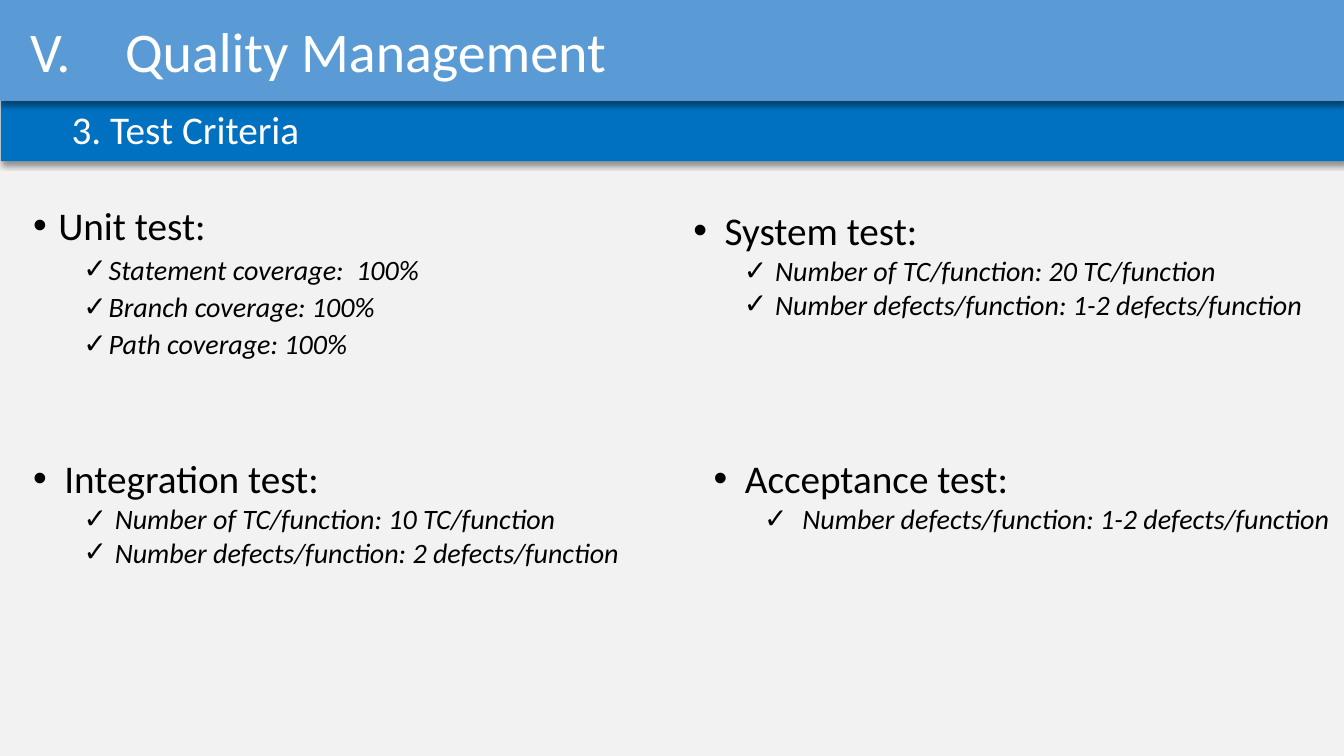
from lxml.etree import SubElement
from pptx import Presentation
from pptx.dml.color import RGBColor
from pptx.enum.shapes import MSO_SHAPE as Shape
from pptx.enum.text import MSO_ANCHOR as Anchor, MSO_AUTO_SIZE as AutoSize
from pptx.oxml.ns import qn
from pptx.util import Inches, Pt

COLORS = {"bg": "F2F2F2", "title": "5B9BD5", "subtitle": "0070C0",
          "white": "FFFFFF", "text": "000000"}
FONT = "Calibri"


def rgb(name):
    return RGBColor.from_string(COLORS[name])


class SlideBuilder:
    def __init__(self, slide):
        self.slide = slide
        fill = slide.background.fill
        fill.solid()
        fill.fore_color.rgb = rgb("bg")

    def run(self, p, text, size, color, italic=False):
        r = p.add_run()
        r.text = text
        f = r.font
        f.name, f.size, f.italic = FONT, Pt(size), italic
        f.color.rgb = rgb(color)

    def bullet(self, p, left, hang, tag, **attrs):
        """Give a paragraph a hanging bullet or number; tag is buChar or buAutoNum."""
        pPr = p._p.get_or_add_pPr()
        pPr.set("marL", str(Inches(left)))
        pPr.set("indent", str(-Inches(hang)))
        SubElement(pPr, qn("a:buFont"), typeface="Arial" if tag == "buChar" else "+mj-lt")
        SubElement(pPr, qn("a:" + tag), **attrs)

    def shadow(self, sp):
        sp.shadow.inherit = False
        effects = sp._element.spPr.find(qn("a:effectLst"))
        outer = SubElement(effects, qn("a:outerShdw"), blurRad=str(Pt(4)), dist=str(Pt(3)),
                           dir="5400000", algn="t", rotWithShape="0")
        black = SubElement(outer, qn("a:srgbClr"), val="000000")
        SubElement(black, qn("a:alpha"), val="40000")

    def band(self, left, top, height, fill, text, size, insets, anchor, number=None):
        """Full-width heading bar, optionally numbered with a Roman numeral."""
        sp = self.slide.shapes.add_shape(Shape.RECTANGLE, Inches(left), Inches(top),
                                         Inches(13.33), Inches(height))
        sp.fill.solid()
        sp.fill.fore_color.rgb = rgb(fill)
        sp.line.fill.background()
        self.shadow(sp)
        tf = sp.text_frame
        tf.word_wrap = True
        tf.vertical_anchor = anchor
        tf.margin_left, tf.margin_top, tf.margin_right, tf.margin_bottom = map(Inches, insets)
        p = tf.paragraphs[0]
        p._p.get_or_add_pPr().set("algn", "l")
        if number:
            self.bullet(p, 0.94, 0.94, "buAutoNum", type="romanUcPeriod", startAt=str(number))
        self.run(p, text, size, "white")

    def criteria(self, box, heading, items, hang=0.31, item_left=0.81, item_hang=0.31,
                 level=1, body=False):
        """Bulleted test heading with ticked criteria; body sets the looser line spacing."""
        tb = self.slide.shapes.add_textbox(*map(Inches, box))
        tf = tb.text_frame
        tf.word_wrap = body
        tf.auto_size = AutoSize.NONE if body else AutoSize.SHAPE_TO_FIT_TEXT
        p = tf.paragraphs[0]
        self.bullet(p, hang, hang, "buChar", char="•")
        self.run(p, heading, 28, "text")
        for item in items:
            p = tf.add_paragraph()
            p.level = level
            self.bullet(p, item_left, item_hang, "buChar", char="✓")
            self.run(p, item, 20, "text", italic=True)
            if body:
                p.space_before = Pt(5)
        if body:
            for p in tf.paragraphs:
                p.line_spacing = 0.9


def main():
    prs = Presentation()
    prs.slide_width, prs.slide_height = Inches(13.33), Inches(7.5)
    s = SlideBuilder(prs.slides.add_slide(prs.slide_layouts[6]))

    s.band(0.01, 1, 0.6, "subtitle", "3. Test Criteria", 28, (0.7, 0.05, 0.3, 0), Anchor.TOP)
    s.band(0, 0, 1, "title", "Quality Management", 40, (0.3, 0.05, 0.3, 0.05),
           Anchor.MIDDLE, number=5)

    s.criteria((0.23, 2, 5.3, 1.95), "Unit test:",
               ["Statement coverage:  100%", "Branch coverage: 100%", "Path coverage: 100%"],
               hang=0.25, item_left=0.75, item_hang=0.25, body=True)
    s.criteria((0.23, 4.46, 6.08, 1.55), "Integration test:",
               ["Number of TC/function: 10 TC/function",
                "Number defects/function: 2 defects/function"])
    s.criteria((6.78, 2, 6.3, 1.55), "System test:",
               ["Number of TC/function: 20 TC/function",
                "Number defects/function: 1-2 defects/function"])
    s.criteria((6.98, 4.46, 6.36, 1.68), "Acceptance test:",
               ["Number defects/function: 1-2 defects/function"],
               item_left=0.88, item_hang=0.38, level=2)

    prs.save("out.pptx")


if __name__ == "__main__":
    main()
